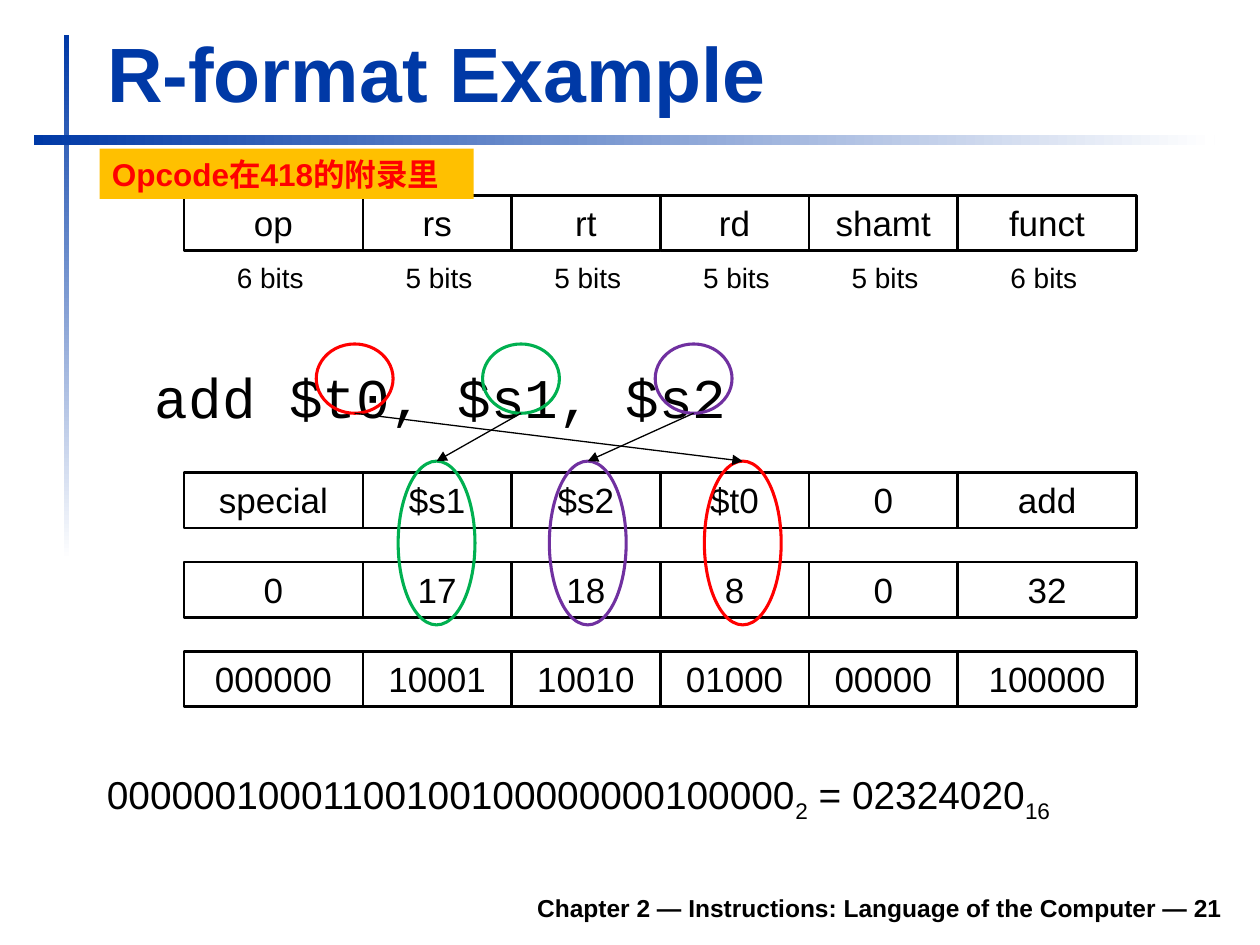
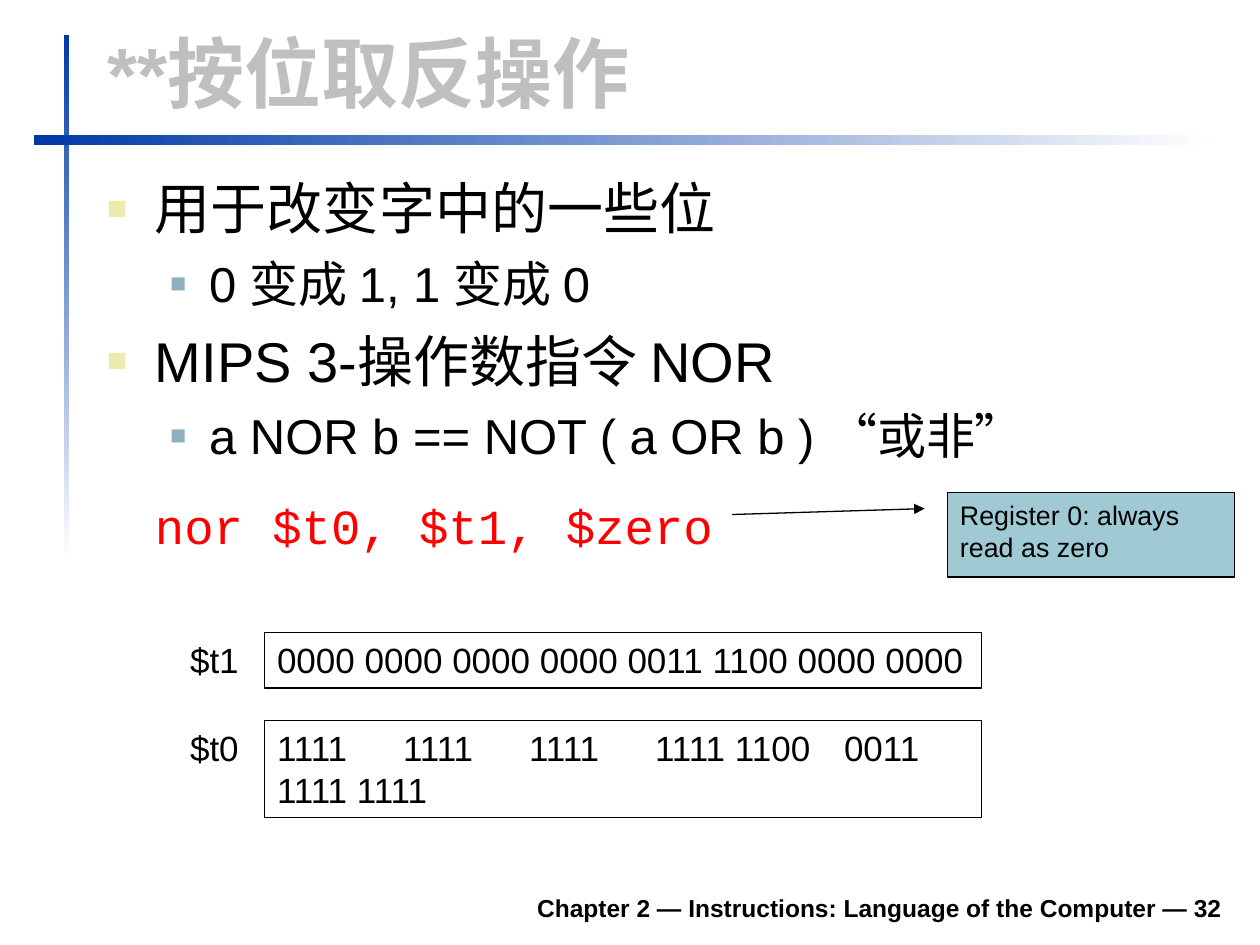
from lxml import etree
from pptx import Presentation
from pptx import util as u
from pptx.dml.color import RGBColor
from pptx.enum import shapes, text
from pptx.oxml.ns import qn

BLUE, WHITE, BLACK, GREY = "0039A6", "FFFFFF", "000000", "BFBFBF"
RED, GREEN, PURPLE = "FF0000", "00B050", "7030A0"
AMBER, TEAL, KHAKI, STEEL = "FFC000", "9FCAD3", "ECEAAC", "91AFBF"
SANS, MONO = "Arial", "Courier New"
LEFT, CENTER, RIGHT = text.PP_ALIGN.LEFT, text.PP_ALIGN.CENTER, text.PP_ALIGN.RIGHT
TOP, BOTTOM = text.MSO_ANCHOR.TOP, text.MSO_ANCHOR.BOTTOM
SHAPE = shapes.MSO_SHAPE


def rgb(color):
    return RGBColor.from_string(color)


def child(parent, tag, **attrs):
    return etree.SubElement(parent, qn(tag), {k: str(v) for k, v in attrs.items()})


def inches(*values):
    return [u.Inches(v) for v in values]


def add_text(tf, runs, size=20, color=BLACK, font=SANS, bold=False, align=LEFT,
             level=0, margin=0, indent=0, before=0, after=0, bullet=None, tabs=()):
    p = tf.paragraphs[0]
    if p.runs:
        p = tf.add_paragraph()
    p.level = level
    pPr = p._p.get_or_add_pPr()
    pPr.set("marL", str(u.Inches(margin)))
    pPr.set("indent", str(u.Inches(indent)))
    if bullet:
        bullet_color, percent = bullet
        child(child(pPr, "a:buClr"), "a:srgbClr", val=bullet_color)
        child(pPr, "a:buSzPct", val=percent * 1000)
        child(pPr, "a:buFont", typeface=SANS)
        child(pPr, "a:buChar", char="■")
    else:
        child(pPr, "a:buNone")
    if tabs:
        tab_list = child(pPr, "a:tabLst")
        for stop in tabs:
            child(tab_list, "a:tab", pos=u.Inches(stop), algn="l")
    p.alignment = align
    p.space_before, p.space_after = u.Pt(before), u.Pt(after)
    for words, baseline in [(runs, 0)] if isinstance(runs, str) else runs:
        r = p.add_run()
        r.text = words
        r.font.name, r.font.size, r.font.bold = font, u.Pt(size), bold
        r.font.color.rgb = rgb(color)
        if baseline:
            r._r.get_or_add_rPr().set("baseline", str(baseline * 1000))
    return p


class Deck:
    def __init__(self):
        self.prs = Presentation()
        self.prs.slide_width, self.prs.slide_height = inches(10, 7.5)
        self.s = None

    def new_slide(self, title, number, title_color=BLUE):
        self.s = self.prs.slides.add_slide(self.prs.slide_layouts[1])
        self.band(0.51, 0.28, 0.04, 4.17, 270)
        self.band(0.27, 1.07, 9.37, 0.08, 0)
        self.label(f"Chapter 2 — Instructions: Language of the Computer — {number}",
                   1.85, 6.98, 7.95, 0.39, anchor=BOTTOM, size=14, bold=True, align=RIGHT)
        tf = self.place(self.s.shapes.title, 0.75, 0.16, 9.03, 0.83, anchor=BOTTOM)
        add_text(tf, title, size=44, color=title_color, bold=True)

    def frame(self, sp, anchor=TOP, wrap=True, top=0.05):
        tf = sp.text_frame
        tf.auto_size = text.MSO_AUTO_SIZE.NONE
        tf.word_wrap, tf.vertical_anchor = wrap, anchor
        tf.margin_left, tf.margin_right, tf.margin_top, tf.margin_bottom = inches(0.1, 0.1, top, 0.05)
        return tf

    def place(self, sp, x, y, w, h, **kw):
        sp.left, sp.top, sp.width, sp.height = inches(x, y, w, h)
        return self.frame(sp, **kw)

    def body(self, x, y, w, h):
        return self.place(self.s.placeholders[1], x, y, w, h, top=0.15)

    def band(self, x, y, w, h, angle):
        sp = self.shape(SHAPE.RECTANGLE, x, y, w, h)
        sp.fill.gradient()
        sp.fill.gradient_angle = angle
        for stop, color in zip(sp.fill.gradient_stops, (BLUE, WHITE)):
            stop.color.rgb = rgb(color)

    def shape(self, kind, x, y, w, h, fill=None, line=None, width=0.75):
        sp = self.s.shapes.add_shape(kind, *inches(x, y, w, h))
        sp.shadow.inherit = False
        if fill:
            sp.fill.solid()
            sp.fill.fore_color.rgb = rgb(fill)
        else:
            sp.fill.background()
        if line:
            sp.line.color.rgb = rgb(line)
            sp.line.width = u.Pt(width)
        else:
            sp.line.fill.background()
        return sp

    def box(self, words, x, y, w, h, fill=None, line=BLACK, width=0.75, wrap=True, **fmt):
        sp = self.shape(SHAPE.RECTANGLE, x, y, w, h, fill, line, width)
        add_text(self.frame(sp, wrap=wrap), words, **fmt)

    def label(self, words, x, y, w, h, anchor=TOP, wrap=True, top=0.05, **fmt):
        sp = self.s.shapes.add_textbox(*inches(x, y, w, h))
        add_text(self.frame(sp, anchor, wrap, top), words, **fmt)

    def ring(self, color, x, y, h):
        return self.shape(SHAPE.OVAL, x, y, 0.61, h, line=color, width=1.75)

    def arrow(self, upper, lower):
        cx = self.s.shapes.add_connector(
            shapes.MSO_CONNECTOR.STRAIGHT, upper.left + upper.width // 2,
            upper.top + upper.height, lower.left + lower.width // 2, lower.top)
        cx.end_connect(lower, 0)
        cx.line.color.rgb = rgb(BLACK)
        cx.line.width = u.Pt(0.75)
        child(cx.line._get_or_add_ln(), "a:tailEnd", type="triangle")
        child(cx._element.spPr, "a:effectLst")

    def callout(self, words, x, y, w, h, pointer, **fmt):
        sp = self.shape(SHAPE.LINE_CALLOUT_1, x, y, w, h, TEAL, BLACK)
        for i, value in enumerate(pointer):
            sp.adjustments[i] = value
        child(sp.line._get_or_add_ln(), "a:headEnd", type="triangle")
        add_text(self.frame(sp), words, **fmt)


def r_format_slide(d):
    d.new_slide("R-format Example", 21)
    add_text(d.body(0.75, 2.73, 9.04, 0.71), "add $t0, $s1, $s2", size=32, font=MONO, margin=0.38)

    field_bits = (6, 5, 5, 5, 5, 6)
    field_width = {6: 1.42, 5: 1.18}
    label_offset = {6: 0.32, 5: 0.24}
    field_rows = {
        1.55: ("op", "rs", "rt", "rd", "shamt", "funct"),
        3.75: ("special", "$s1", "$s2", "$t0", "0", "add"),
        4.46: ("0", "17", "18", "8", "0", "32"),
        5.17: ("000000", "10001", "10010", "01000", "00000", "100000"),
    }
    x = 1.46
    for i, bits in enumerate(field_bits):
        for y, values in field_rows.items():
            d.box(values[i], x, y, field_width[bits], 0.44, width=1.5, align=CENTER)
        d.label(f"{bits} bits", x + label_offset[bits], 2.02, 0.73, 0.37,
                wrap=False, size=16, align=CENTER)
        x += field_width[bits]

    machine_word = [("00000010001100100100000000100000", 0), ("2", -25),
                    (" = 02324020", 0), ("16", -25)]
    d.label(machine_word, 0.75, 6.03, 8.9, 0.55, top=0.09, size=22.2)

    for color, operand_x, field_x in ((RED, 2.51, 5.59), (GREEN, 3.83, 3.16), (PURPLE, 5.2, 4.36)):
        d.arrow(d.ring(color, operand_x, 2.73, 0.55), d.ring(color, field_x, 3.66, 1.3))

    d.box("Opcode在418的附录里", 0.79, 1.18, 2.97, 0.4, fill=AMBER, line=None,
          wrap=False, size=18, color=RED, bold=True)


def nor_slide(d):
    d.new_slide("**按位取反操作", 32, GREY)
    tf = d.body(0.75, 1.23, 9.04, 3.53)
    main = dict(size=32, margin=0.38, indent=-0.38, bullet=(KHAKI, 60))
    sub = dict(size=28, level=1, margin=0.81, indent=-0.31, before=7, bullet=(STEEL, 55))
    add_text(tf, "用于改变字中的一些位", **main)
    add_text(tf, "0 变成 1, 1 变成 0", **sub)
    add_text(tf, "MIPS 3-操作数指令 NOR", before=8, **main)
    add_text(tf, "a NOR b == NOT ( a OR b ) “或非”", **sub)
    add_text(tf, "nor $t0, $t1, $zero", size=28, font=MONO, color=RED,
             margin=0.38, before=17.5, after=10.5)

    registers = (
        ("$t1", "0000 0000 0000 0000 0011 1100 0000 0000", 5.02, 0.44, ()),
        ("$t0", "1111\t1111\t1111\t1111 1100\t0011 1111 1111", 5.72, 0.77, (0.71, 1.42, 2.13, 3.52)),
    )
    for name, bits, y, h, tabs in registers:
        d.box(bits, 2.1, y, 5.69, h, tabs=tabs)
        d.label(name, 1.41, y, 0.58, 0.44, wrap=False)
    d.callout("Register 0: always read as zero", 7.52, 3.91, 2.28, 0.67,
              (0.19, -0.08, 0.26, -0.75), size=15.3)


def main():
    d = Deck()
    r_format_slide(d)
    nor_slide(d)
    d.prs.save("out.pptx")


if __name__ == "__main__":
    main()
